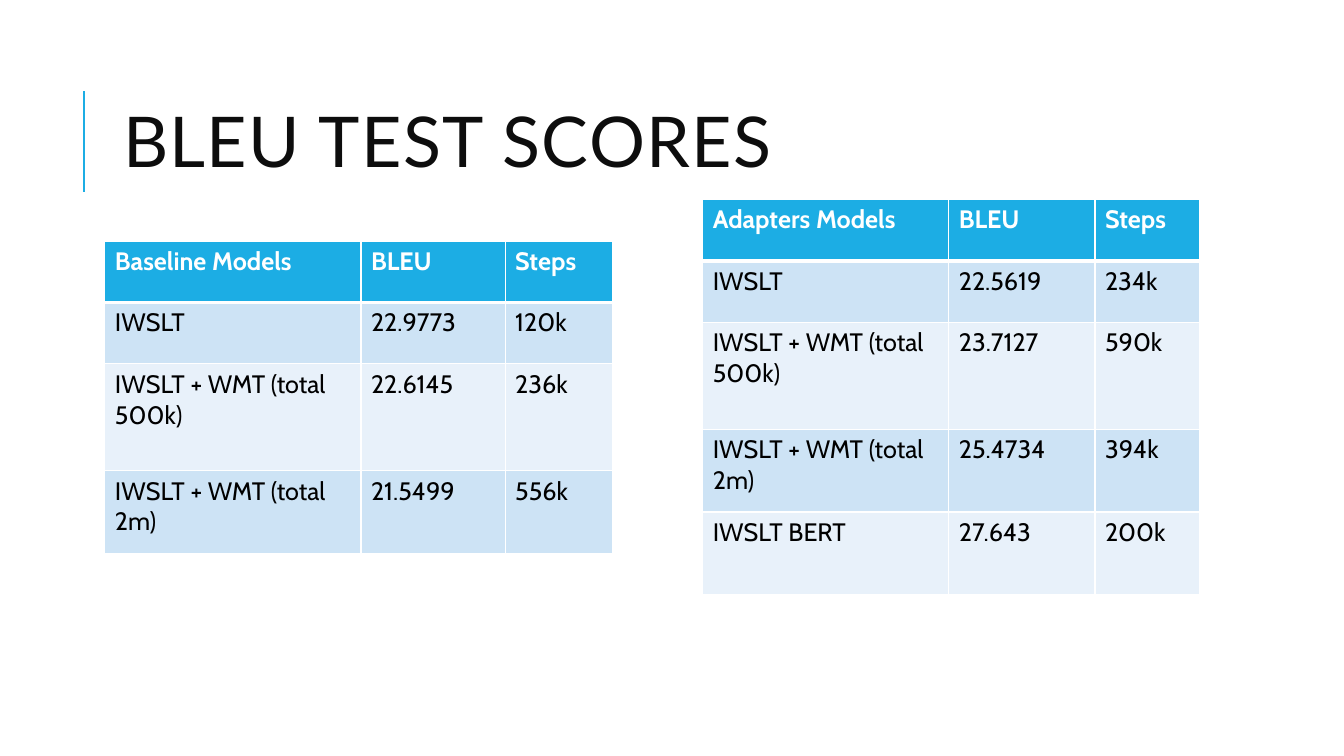
from lxml import etree
from pptx import Presentation
from pptx.dml.color import RGBColor
from pptx.enum.shapes import MSO_CONNECTOR
from pptx.enum.text import MSO_ANCHOR, MSO_AUTO_SIZE, PP_ALIGN
from pptx.oxml.ns import qn
from pptx.util import Inches, Pt

STRAIGHT = MSO_CONNECTOR.STRAIGHT
MIDDLE, LEFT = MSO_ANCHOR.MIDDLE, PP_ALIGN.LEFT
NO_FIT = MSO_AUTO_SIZE.NONE

# Content
TITLE = "BLEU TEST SCORES"
TABLES = [
    {
        "at": (1.04, 2.39),
        "columns": [2.54, 1.43, 1.07],
        "heights": [0.61, 0.61, 1.06, 0.82],
        "rows": [
            ("Baseline Models", "BLEU", "Steps"),
            ("IWSLT", "22.9773", "120k"),
            ("IWSLT + WMT (total 500k)", "22.6145", "236k"),
            ("IWSLT + WMT (total 2m)", "21.5499", "556k"),
        ],
    },
    {
        "at": (6.97, 1.98),
        "columns": [2.44, 1.45, 1.04],
        "heights": [0.61, 0.61, 1.06, 0.82, 0.82],
        "rows": [
            ("Adapters Models", "BLEU", "Steps"),
            ("IWSLT", "22.5619", "234k"),
            ("IWSLT + WMT (total 500k)", "23.7127", "590k"),
            ("IWSLT + WMT (total 2m)", "25.4734", "394k"),
            ("IWSLT BERT", "27.643", "200k"),
        ],
    },
]
ACCENT, WHITE, BLACK, TITLE_COLOR = "1CADE4", "FFFFFF", "000000", "0D0D0D"
BANDS = ["E8F1FA", "CDE3F5"]


def color(value):
    return RGBColor.from_string(value)


def write(frame, text, font="Cabin", size=18, ink=BLACK, bold=False,
          line_spacing=None, tracking=None):
    para = frame.paragraphs[0]
    para.alignment = LEFT
    if line_spacing:
        para.line_spacing = line_spacing
    span = para.add_run()
    span.text = text
    span.font.name = font
    span.font.size = Pt(size)
    span.font.bold = bold
    span.font.color.rgb = color(ink)
    if tracking:
        span.font._element.set("spc", str(tracking * 100))


def add_border(cell, side, points):
    properties = cell._tc.get_or_add_tcPr()
    line = etree.SubElement(properties, qn("a:ln" + side), w=str(Pt(points)))
    fill = etree.SubElement(line, qn("a:solidFill"))
    etree.SubElement(fill, qn("a:srgbClr"), val=WHITE)


def add_score_table(page, at, columns, heights, rows):
    frame = page.shapes.add_table(
        len(rows), len(columns), Inches(at[0]), Inches(at[1]),
        Inches(sum(columns)), Inches(sum(heights)))
    table = frame.table
    for column, width in zip(table.columns, columns):
        column.width = Inches(width)
    for index, (row, height, texts) in enumerate(zip(table.rows, heights, rows)):
        row.height = Inches(height)
        header = index == 0
        for cell, text in zip(row.cells, texts):
            # Thick rule between the header and the first data row
            widths = {"L": 1, "R": 1, "T": 3 if index == 1 else 1,
                      "B": 3 if header else 1}
            for side, points in widths.items():
                add_border(cell, side, points)
            cell.fill.solid()
            cell.fill.fore_color.rgb = color(ACCENT if header else BANDS[index % 2])
            write(cell.text_frame, text, ink=WHITE if header else BLACK, bold=header)


deck = Presentation()
deck.slide_width, deck.slide_height = Inches(13.33), Inches(7.5)
page = deck.slides.add_slide(deck.slide_layouts[5])

# Accent rule beside the title
rule = page.shapes.add_connector(
    STRAIGHT, Inches(0.83), Inches(1.9), Inches(0.83), Inches(0.9))
rule.line.color.rgb = color(ACCENT)
rule.line.width = Pt(1.5)
etree.SubElement(rule._element.spPr, qn("a:effectLst"))

# Title
title = page.shapes.title
title.left, title.top = Inches(1.12), Inches(0.64)
title.width, title.height = Inches(10.63), Inches(1.64)
title.text_frame.auto_size = NO_FIT
title.text_frame.vertical_anchor = MIDDLE
write(title.text_frame, TITLE, font="Lato", size=50, ink=TITLE_COLOR,
      line_spacing=0.8, tracking=1)

# Score tables
for scores in TABLES:
    add_score_table(page, **scores)

deck.save("out.pptx")
